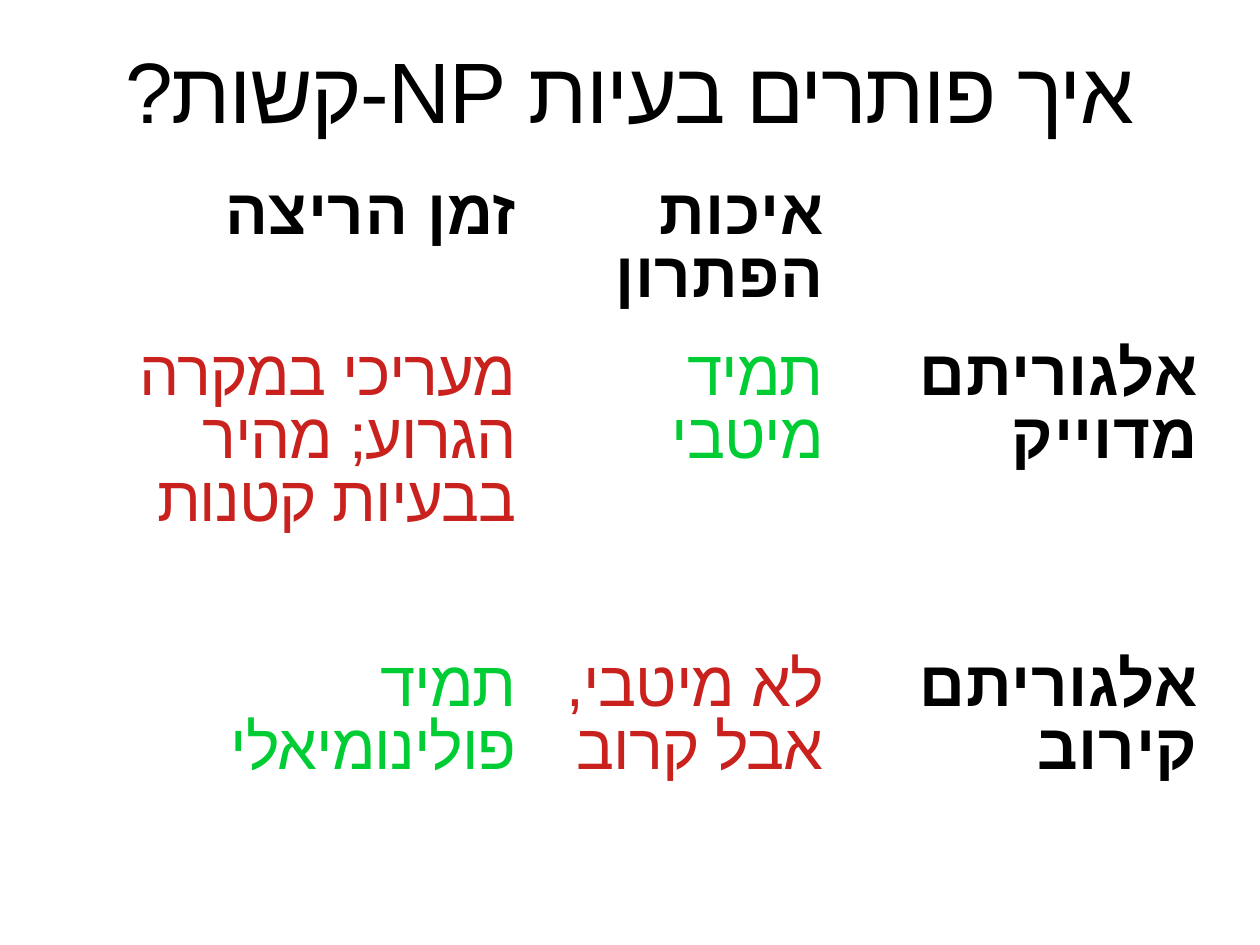
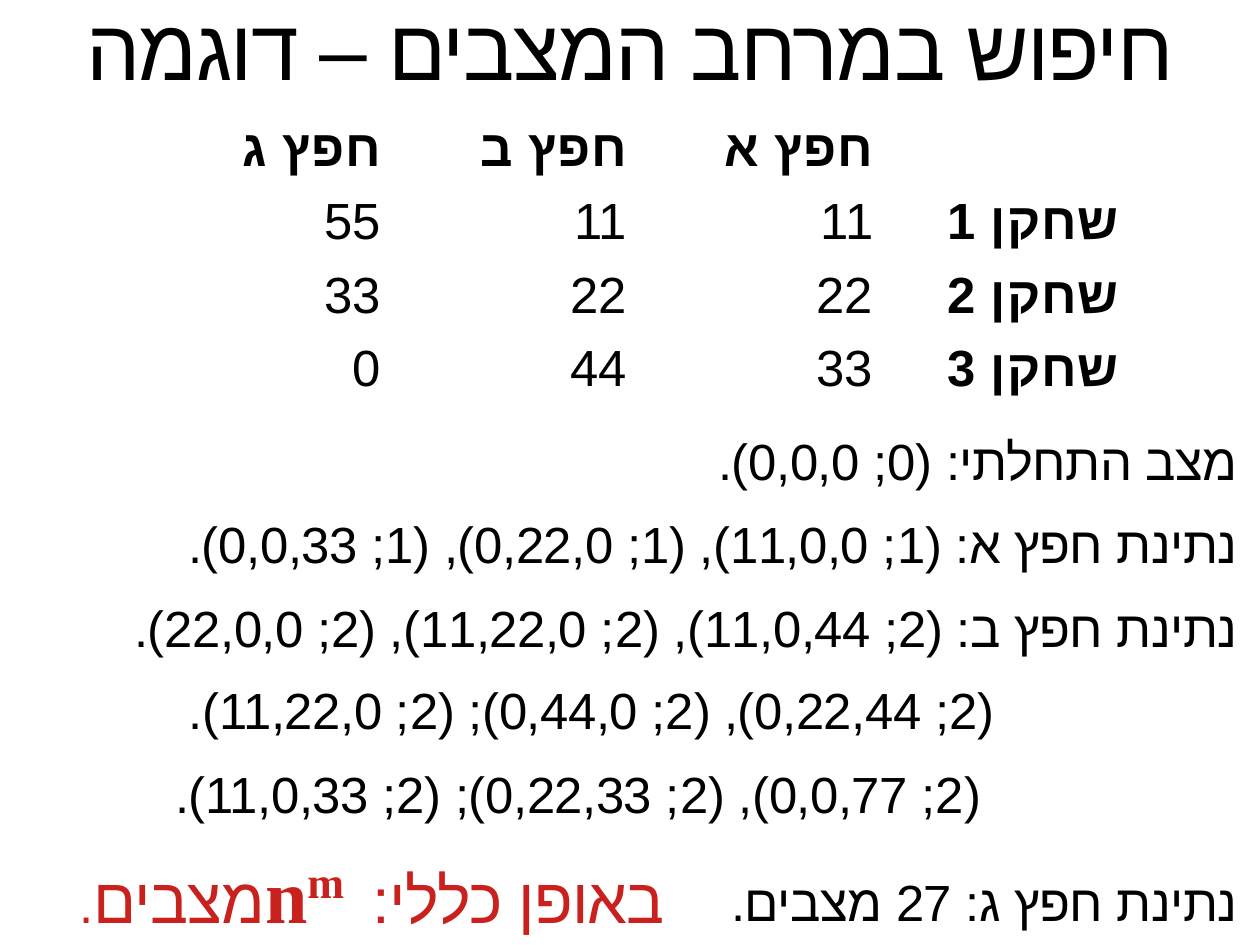
from typing import NamedTuple

from lxml.etree import SubElement
from pptx import Presentation
from pptx.dml.color import RGBColor
from pptx.enum.text import MSO_ANCHOR as Anchor, PP_ALIGN as Align
from pptx.oxml.ns import qn
from pptx.util import Cm, Pt

BLACK, RED, GREEN = "000000", "C9211E", "00CC33"
SANS, SERIF = "Arial", "Times New Roman"
WIDTH, HEIGHT = 28, 21
EDGE = 27.5
PITCH = 1.85
TOP = 9.54


class Style(NamedTuple):
    """Look of a paragraph; track is the letter spacing in points."""
    size: float
    color: str = BLACK
    bold: bool = False
    latin: str = SANS
    track: float = 0


class Piece(NamedTuple):
    text: str
    size: float
    bold: bool = False
    raised: bool = False
    track: float = 0


class Entry(NamedTuple):
    text: str
    color: str = BLACK


class Block(NamedTuple):
    """Lines of body text that share a right edge, in cm."""
    right: float
    top: float
    lines: list[str]


class Grid(NamedTuple):
    left: float
    top: float
    cols: list[float]
    rows: list[float]
    size: float
    cells: list[list[Entry]]


TITLE = Style(54, track=-1)
BODY = Style(32, latin=SERIF, track=-0.3)
CLAIM = Style(40, RED, latin=SERIF)

METHODS = Grid(1.98, 3.96, [9.75, 6.83, 8.31], [3.58, 6.91, 5.23], 40, [
    [Entry("זמן הריצה"), Entry("איכות הפתרון"), Entry("")],
    [Entry("מעריכי במקרה הגרוע; מהיר בבעיות קטנות", RED),
     Entry("תמיד מיטבי", GREEN), Entry("אלגוריתם מדוייק")],
    [Entry("תמיד פולינומיאלי", GREEN),
     Entry("לא מיטבי, אבל קרוב", RED), Entry("אלגוריתם קירוב")],
])

VALUES = Grid(3.25, 2.67, [5.47] * 4, [1.63] * 3 + [1.47], 32, [
    [Entry(text) for text in row] for row in (
        ("חפץ ג", "חפץ ב", "חפץ א", ""),
        ("55", "11", "11", "שחקן 1"),
        ("33", "22", "22", "שחקן 2"),
        ("0", "44", "33", "שחקן 3"),
    )
])

BLOCKS = [
    Block(EDGE, TOP, [
        "מצב התחלתי: (0; 0,0,0).",
        "נתינת חפץ א: (1; 11,0,0), (1; 0,22,0), (1; 0,0,33).",
        "נתינת חפץ ב: (2; 11,0,44), (2; 11,22,0), (2; 22,0,0).",
    ]),
    Block(EDGE - 5.4, TOP + 3 * PITCH,
          ["(2; 0,22,44), (2; 0,44,0); (2; 11,22,0)."]),
    Block(EDGE - 5.7, TOP + 4 * PITCH,
          ["(2; 0,0,77), (2; 0,22,33); (2; 11,0,33)."]),
    Block(EDGE, 19.36, ["נתינת חפץ ג: 27 מצבים."]),
]

FORMULA = [
    Piece("באופן כללי:", 40, track=-0.5),
    Piece(" ", 40, track=7),
    Piece("n", 48, True),
    Piece("m", 48, True, True),
    Piece("מצבים", 40, track=-0.5),
    Piece(".", 32),
]


def rgb(color: str) -> RGBColor:
    return RGBColor.from_string(color)


def space(font, track: float) -> None:
    """Set the letter spacing in points."""
    if track:
        font._rPr.set("spc", str(round(track * 100)))


def dress(para, style: Style, align=Align.RIGHT) -> None:
    """Make a right-to-left paragraph with Latin and Hebrew fonts."""
    font = para.font
    font.size, font.bold, font.name = Pt(style.size), style.bold, style.latin
    font.color.rgb = rgb(style.color)
    space(font, style.track)
    SubElement(font._rPr, qn("a:cs")).set("typeface", SANS)
    para.alignment = align
    para._p.get_or_add_pPr().set("rtl", "1")


def add_box(slide, left: float, top: float, width: float, height: float):
    frame = slide.shapes.add_textbox(
        Cm(left), Cm(top), Cm(width), Cm(height)).text_frame
    frame.word_wrap = True
    frame.margin_left = frame.margin_right = 0
    frame.margin_top = frame.margin_bottom = 0
    return frame


def add_title(slide, text: str, top: float, height: float) -> None:
    frame = add_box(slide, 0, top, WIDTH, height)
    frame.vertical_anchor = Anchor.MIDDLE
    frame.text = text
    dress(frame.paragraphs[0], TITLE, Align.CENTER)


def add_grid(slide, grid: Grid) -> None:
    """Draw a plain table whose first row and last column are bold."""
    table = slide.shapes.add_table(
        len(grid.rows), len(grid.cols), Cm(grid.left), Cm(grid.top),
        Cm(sum(grid.cols)), Cm(sum(grid.rows))).table
    table.first_row = table.horz_banding = False
    for col, width in zip(table.columns, grid.cols):
        col.width = Cm(width)
    for row, height in zip(table.rows, grid.rows):
        row.height = Cm(height)
    last = len(grid.cols) - 1
    for r, line in enumerate(grid.cells):
        for c, entry in enumerate(line):
            cell = table.cell(r, c)
            cell.fill.background()
            cell.text = entry.text
            para = cell.text_frame.paragraphs[0]
            para.line_spacing = 0.89
            bold = r == 0 or c == last
            track = 0.5 if bold else 0 if entry.text.isdigit() else -0.6
            dress(para, Style(grid.size, entry.color, bold, track=track))


def add_block(slide, block: Block) -> None:
    frame = add_box(slide, 0, block.top, block.right,
                    PITCH * len(block.lines))
    frame.text = "\n".join(block.lines)
    for para in frame.paragraphs:
        para.space_after = Pt(14.2)
        dress(para, BODY)


def add_claim(slide) -> None:
    para = add_box(slide, 0, 18.83, 14.77, 2).paragraphs[0]
    dress(para, CLAIM)
    for piece in FORMULA:
        run = para.add_run()
        run.text = piece.text
        run.font.size, run.font.bold = Pt(piece.size), piece.bold
        space(run.font, piece.track)
        if piece.raised:
            run.font._rPr.set("baseline", "33000")


def main() -> None:
    deck = Presentation()
    deck.slide_width, deck.slide_height = Cm(WIDTH), Cm(HEIGHT)
    blank = deck.slide_layouts[6]

    slide = deck.slides.add_slide(blank)
    add_title(slide, "איך פותרים בעיות NP-קשות?", 0.91, 2.13)
    add_grid(slide, METHODS)

    slide = deck.slides.add_slide(blank)
    add_title(slide, "חיפוש במרחב המצבים – דוגמה", -0.25, 2.54)
    add_grid(slide, VALUES)
    for block in BLOCKS:
        add_block(slide, block)
    add_claim(slide)

    deck.save("out.pptx")


if __name__ == "__main__":
    main()
